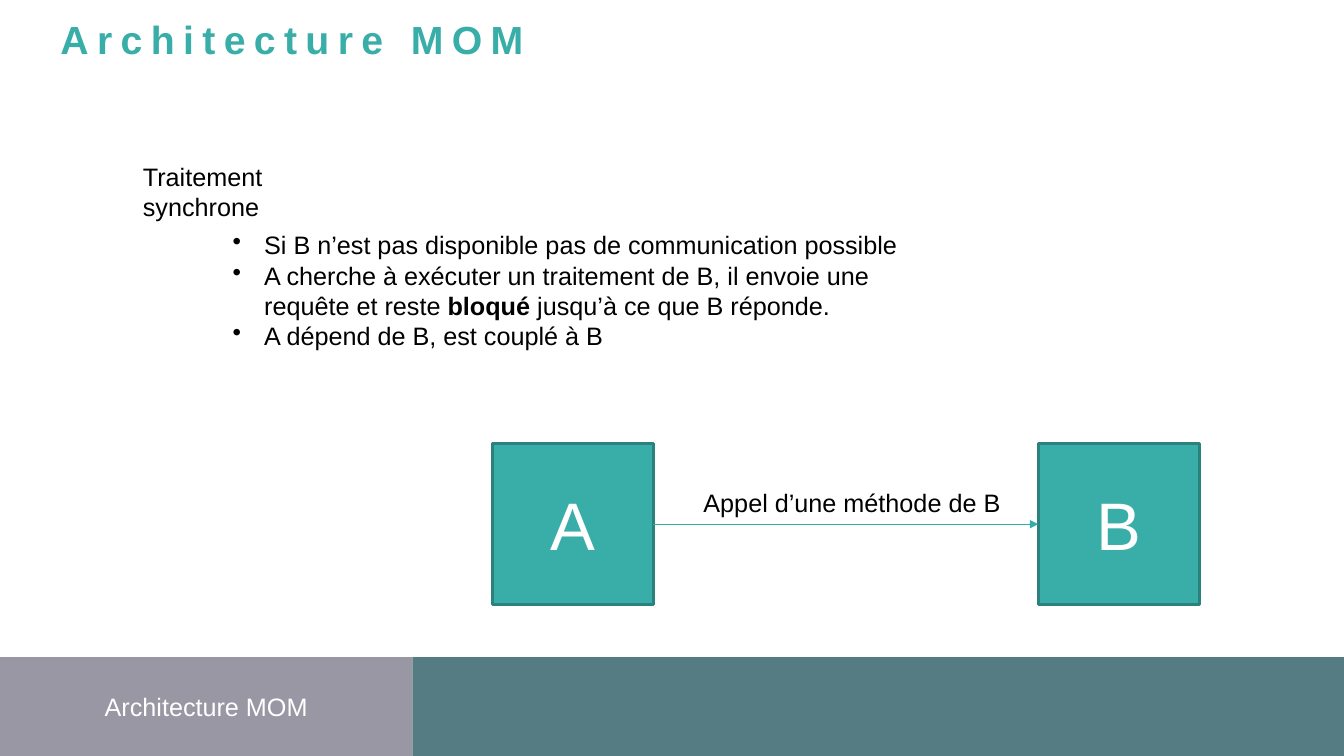
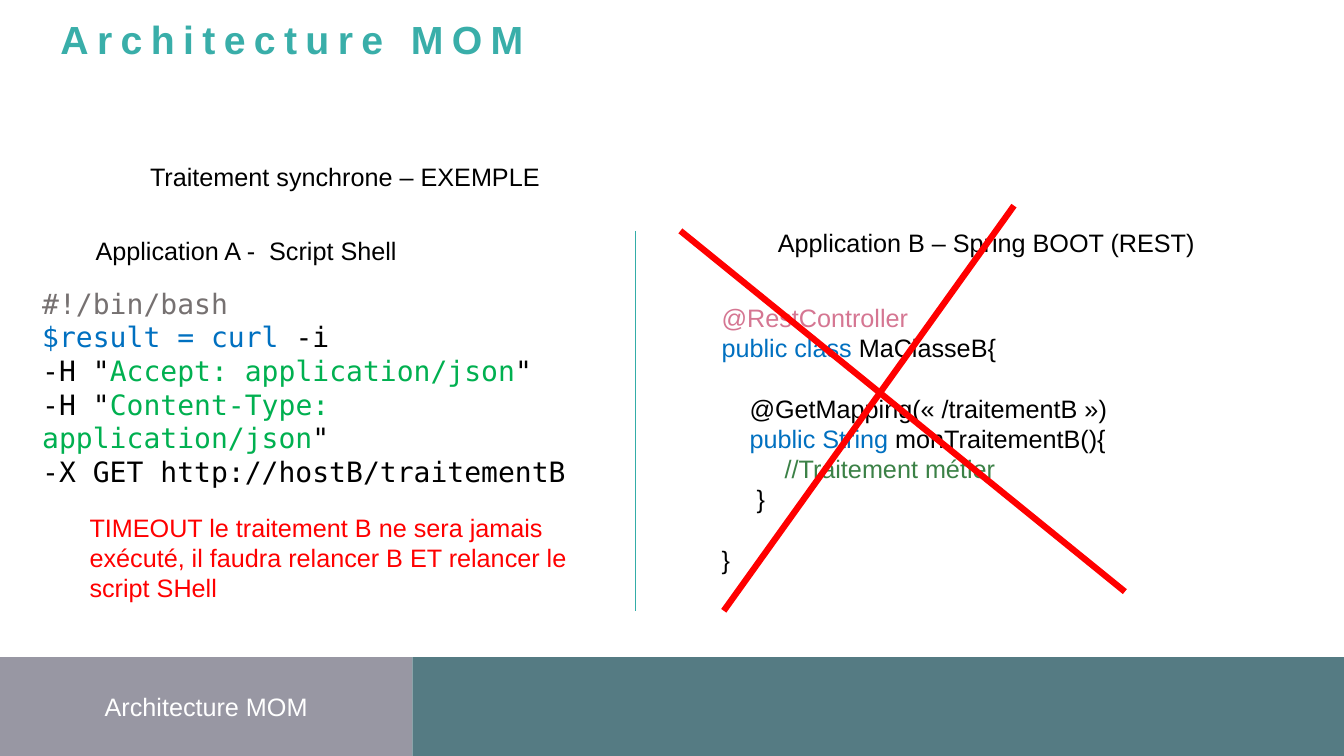
from lxml import etree
from pptx import Presentation
from pptx.dml.color import RGBColor
from pptx.enum.shapes import MSO_CONNECTOR, MSO_SHAPE
from pptx.enum.text import MSO_ANCHOR, MSO_AUTO_SIZE, PP_ALIGN
from pptx.oxml.ns import qn
from pptx.util import Pt

RECTANGLE = MSO_SHAPE.RECTANGLE
STRAIGHT = MSO_CONNECTOR.STRAIGHT
TOP, MIDDLE = MSO_ANCHOR.TOP, MSO_ANCHOR.MIDDLE
LEFT, CENTER = PP_ALIGN.LEFT, PP_ALIGN.CENTER
NO_AUTOFIT = MSO_AUTO_SIZE.NONE

TEAL = RGBColor(0x39, 0xAE, 0xA9)
DARK_TEAL = RGBColor(0x2A, 0x81, 0x7D)
LINE_TEAL = RGBColor(0x34, 0xAD, 0xA8)
BAND_GREY = RGBColor(0x98, 0x97, 0xA3)
BAND_TEAL = RGBColor(0x55, 0x7B, 0x83)
WHITE = RGBColor(0xFF, 0xFF, 0xFF)
BLACK = RGBColor(0x00, 0x00, 0x00)
GREY = RGBColor(0x76, 0x71, 0x71)
BLUE = RGBColor(0x00, 0x70, 0xC0)
GREEN = RGBColor(0x00, 0xB0, 0x50)
COMMENT_GREEN = RGBColor(0x3B, 0x81, 0x46)
PINK = RGBColor(0xD5, 0x76, 0x92)
RED = RGBColor(0xFF, 0x00, 0x00)

FONT = "Arial"
CODE_FONT = "DejaVu Sans Mono"
TITLE = "Architecture MOM"
SLIDE_WIDTH, SLIDE_HEIGHT = 960, 540
BAND_TOP, BAND_SPLIT = 469.4, 294.5
BAND_HEIGHT = SLIDE_HEIGHT - BAND_TOP
CODE_LINE = 21.6


def add_rectangle(slide, left, top, width, height, fill, text="", size=18):
    shape = slide.shapes.add_shape(RECTANGLE, Pt(left), Pt(top), Pt(width), Pt(height))
    shape.shadow.inherit = False
    shape.fill.solid()
    shape.fill.fore_color.rgb = fill
    shape.line.fill.background()
    if text:
        shape.text_frame.vertical_anchor = MIDDLE
        paragraph = shape.text_frame.paragraphs[0]
        paragraph.text = text
        paragraph.alignment = CENTER
        paragraph.font.name = FONT
        paragraph.font.size = Pt(size)
        paragraph.font.color.rgb = WHITE
    return shape


def add_text(slide, left, top, width, height, lines, font=FONT, size=18):
    """Each line is a list of (text, colour) runs."""
    box = slide.shapes.add_textbox(Pt(left), Pt(top), Pt(width), Pt(height))
    frame = box.text_frame
    frame.word_wrap = True
    for index, line in enumerate(lines):
        paragraph = frame.add_paragraph() if index else frame.paragraphs[0]
        paragraph.font.name = font
        paragraph.font.size = Pt(size)
        for text, colour in line:
            run = paragraph.add_run()
            run.text = text
            run.font.color.rgb = colour
    return frame


presentation = Presentation()
presentation.slide_width = Pt(SLIDE_WIDTH)
presentation.slide_height = Pt(SLIDE_HEIGHT)
title_only = presentation.slide_layouts[5]

# Shared title and footer bands
for _ in range(2):
    slide = presentation.slides.add_slide(title_only)
    title = slide.shapes.title
    title.left, title.top, title.width, title.height = Pt(43.2), Pt(19.4), Pt(465), Pt(25.2)
    frame = title.text_frame
    frame.margin_left = frame.margin_right = frame.margin_top = frame.margin_bottom = 0
    frame.vertical_anchor = TOP
    frame.auto_size = NO_AUTOFIT
    paragraph = frame.paragraphs[0]
    paragraph.text = TITLE
    paragraph.alignment = LEFT
    paragraph.line_spacing = Pt(25)
    paragraph.font.name = FONT
    paragraph.font.size = Pt(28)
    paragraph.font.bold = True
    paragraph.font.color.rgb = TEAL
    paragraph.runs[0]._r.get_or_add_rPr().set("spc", "600")
    add_rectangle(slide, 0, BAND_TOP, BAND_SPLIT, BAND_HEIGHT, BAND_GREY, TITLE)
    add_rectangle(slide, BAND_SPLIT, BAND_TOP, SLIDE_WIDTH - BAND_SPLIT, BAND_HEIGHT, BAND_TEAL)

synchronous_slide, example_slide = presentation.slides

# Slide 1: heading and bullets
add_text(synchronous_slide, 95, 111.6, 115, 51, [[("Traitement synchrone", BLACK)]])
bullets = add_text(synchronous_slide, 159.1, 160.6, 534, 93.6, [
    [("Si B n’est pas disponible pas de communication possible", BLACK)],
    [("A cherche à exécuter un traitement de B, il envoie une requête et reste ", BLACK),
     ("bloqué", BLACK), (" jusqu’à ce que B réponde.", BLACK)],
    [("A dépend de B, est couplé à B", BLACK)],
])
bullets.paragraphs[1].runs[1].font.bold = True
for paragraph in bullets.paragraphs:
    properties = paragraph._p.get_or_add_pPr()
    properties.set("marL", str(Pt(22.5)))
    properties.set("indent", str(-Pt(22.5)))
    bullet = etree.Element(qn("a:buChar"), char="•")
    properties.insert_element_before(bullet, "a:tabLst", "a:defRPr", "a:extLst")

# Slide 1: applications A and B
applications = []
for name, left in (("A", 351.6), ("B", 741.6)):
    application = add_rectangle(synchronous_slide, left, 316.8, 115.2, 115.2, TEAL, name, 48)
    application.line.color.rgb = DARK_TEAL
    application.line.width = Pt(2)
    applications.append(application)
add_text(synchronous_slide, 495.4, 344.9, 236, 28.8, [[("Appel d’une méthode de B", BLACK)]])

# Slide 2: headings and warning
for left, top, width, height, text, colour in (
    (100.1, 111.6, 297.4, 28.8, "Traitement synchrone – EXEMPLE", BLACK),
    (61.2, 164.9, 261.4, 28.8, "Application A -  Script Shell", BLACK),
    (548.6, 158.8, 329, 28.8, "Application B – Spring BOOT (REST)", BLACK),
    (56.9, 362.2, 385.2, 72, "TIMEOUT le traitement B ne sera jamais exécuté, "
     "il faudra relancer B ET relancer le script SHell", RED),
):
    add_text(example_slide, left, top, width, height, [[(text, colour)]])

# Slide 2: shell script
shell = add_text(example_slide, 30.2, 204.5, 414.7, 144, [
    [("#!/bin/bash", GREY)],
    [("$result = curl", BLUE), (" -i", BLACK)],
    [('-H "', BLACK), ("Accept: application/json", GREEN), ('"', BLACK)],
    [('-H "', BLACK), ("Content-Type: application/json", GREEN), ('"', BLACK)],
    [("-X GET http://hostB/traitementB", BLACK)],
], CODE_FONT, 20)
shell.margin_left = shell.margin_right = shell.margin_top = shell.margin_bottom = 0

# Slide 2: controller class, with indent and space before each line
controller_lines = (
    (0, 0, [("@RestController", PINK)]),
    (0, 0, [("public class", BLUE), (" MaClasseB{", BLACK)]),
    (20, CODE_LINE, [("@GetMapping(« /traitementB »)", BLACK)]),
    (20, 0, [("public String ", BLUE), ("monTraitementB(){", BLACK)]),
    (45, 0, [("//Traitement métier", COMMENT_GREEN)]),
    (25, 0, [("}", BLACK)]),
    (0, CODE_LINE, [("}", BLACK)]),
)
controller = add_text(example_slide, 508.3, 212.4, 303, 201.6,
                      [line for _, _, line in controller_lines])
for paragraph, (indent, space, _) in zip(controller.paragraphs, controller_lines):
    paragraph.space_before = Pt(space)
    paragraph._p.get_or_add_pPr().set("marL", str(Pt(indent)))

# Call arrow, column divider and red cross
connectors = []
for slide, x1, y1, x2, y2, colour, width in (
    (synchronous_slide, 466.8, 374.4, 741.6, 374.4, LINE_TEAL, 0.75),
    (example_slide, 453.6, 164.9, 453.6, 436.3, LINE_TEAL, 0.75),
    (example_slide, 486, 164.9, 803.5, 422.6, RED, 4.5),
    (example_slide, 724.3, 146.9, 517, 436.3, RED, 4.5),
):
    connector = slide.shapes.add_connector(STRAIGHT, Pt(x1), Pt(y1), Pt(x2), Pt(y2))
    connector.line.color.rgb = colour
    connector.line.width = Pt(width)
    etree.SubElement(connector._element.spPr, qn("a:effectLst"))
    connectors.append(connector)

call_arrow = connectors[0]
call_arrow.begin_connect(applications[0], 3)
call_arrow.end_connect(applications[1], 1)
etree.SubElement(call_arrow.line._get_or_add_ln(), qn("a:tailEnd"), type="triangle")

presentation.save("out.pptx")
